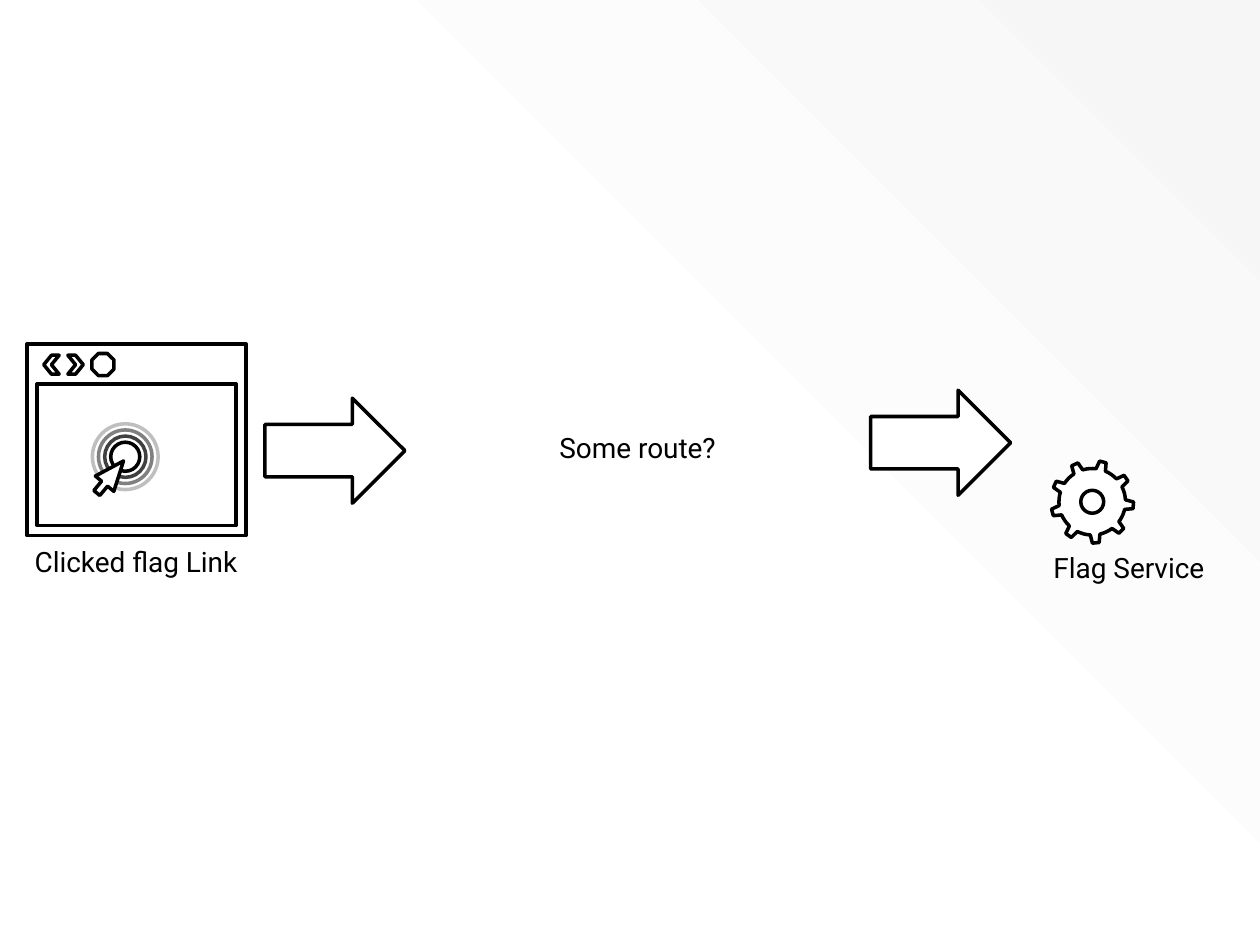
"""Build a slide showing a flag link click travelling to the flag service."""
from dataclasses import dataclass

from lxml.etree import SubElement
from pptx import Presentation
from pptx.dml.color import RGBColor
from pptx.enum.shapes import MSO_SHAPE
from pptx.enum.text import MSO_AUTO_SIZE, PP_ALIGN
from pptx.oxml.ns import qn
from pptx.util import Pt

WIDTH, HEIGHT = 720, 540
BLACK, WHITE = "000000", "FFFFFF"


@dataclass
class Part:
    """An outlined preset shape, measured in points."""
    kind: MSO_SHAPE
    left: float
    top: float
    width: float
    height: float
    line: str = BLACK
    fill: str | None = WHITE
    rotation: float = 0
    adjustments: tuple[float, ...] = ()


@dataclass
class Label:
    """A centred caption, measured in points."""
    text: str
    left: float
    top: float
    width: float
    height: float = 26.6


def paint(color_format, color: str) -> None:
    """Set a colour from a hex string."""
    color_format.rgb = RGBColor.from_string(color)


def draw_part(shapes, part: Part) -> None:
    """Draw one outlined shape."""
    sp = shapes.add_shape(part.kind, Pt(part.left), Pt(part.top), Pt(part.width), Pt(part.height))
    sp.shadow.inherit = False
    sp.rotation = part.rotation
    for i, value in enumerate(part.adjustments):
        sp.adjustments[i] = value
    if part.fill:
        sp.fill.solid()
        paint(sp.fill.fore_color, part.fill)
    else:
        sp.fill.background()
    sp.line.width = Pt(2)
    paint(sp.line.color, part.line)


def draw_group(shapes, parts: list[Part]) -> None:
    """Draw several shapes as one group."""
    group = shapes.add_group_shape()
    for part in parts:
        draw_part(group.shapes, part)


def add_text(tf, text: str, *, size: float = 16, font: str = "Roboto",
             color: str = BLACK, align: PP_ALIGN = PP_ALIGN.CENTER) -> None:
    """Write formatted text into the first paragraph of a frame."""
    p = tf.paragraphs[0]
    p.alignment = align
    r = p.add_run()
    r.text = text
    r.font.size = Pt(size)
    r.font.name = font
    paint(r.font.color, color)


def draw_label(shapes, label: Label) -> None:
    """Draw one caption."""
    sp = shapes.add_textbox(Pt(label.left), Pt(label.top), Pt(label.width), Pt(label.height))
    tf = sp.text_frame
    tf.word_wrap = True
    tf.auto_size = MSO_AUTO_SIZE.SHAPE_TO_FIT_TEXT
    add_text(tf, label.text)


def draw_backdrop(shapes) -> None:
    """Cover the slide with a gradient spreading from the bottom left corner."""
    sp = shapes.add_shape(MSO_SHAPE.RECTANGLE, 0, 0, Pt(WIDTH), Pt(HEIGHT))
    sp.shadow.inherit = False
    sp.line.fill.background()
    sp.fill.gradient()
    for stop, position, color in zip(sp.fill.gradient_stops, (0.49, 1), (WHITE, "F6F6F6")):
        stop.position = position
        paint(stop.color, color)
    grad = sp._element.spPr.find(qn("a:gradFill"))
    grad.remove(grad.find(qn("a:lin")))
    focus = SubElement(grad, qn("a:path"), {"path": "circle"})
    SubElement(focus, qn("a:fillToRect"), {"t": "100000", "r": "100000"})


def ripple(color: str, diameter: float) -> Part:
    """Return one ring around the click point."""
    x, y = 71.6, 261
    return Part(MSO_SHAPE.OVAL, x - diameter / 2, y - diameter / 2, diameter, diameter, color, None)


def main() -> None:
    """Build and save the slide."""
    prs = Presentation()
    prs.slide_width, prs.slide_height = Pt(WIDTH), Pt(HEIGHT)
    s = prs.slides.add_slide(prs.slide_layouts[6])
    browser = [
        Part(MSO_SHAPE.RECTANGLE, 15.4, 196.5, 125.3, 109.6),
        Part(MSO_SHAPE.RECTANGLE, 21.2, 219.5, 113.8, 80.8),
        Part(MSO_SHAPE.CHEVRON, 25, 203, 8.8, 10.8, rotation=180),
        Part(MSO_SHAPE.CHEVRON, 38.8, 203, 8.8, 10.8),
        Part(MSO_SHAPE.OCTAGON, 52.5, 202, 12.6, 12.6),
        *(ripple(color, 16.6 + 7 * i)
          for i, color in enumerate((BLACK, "404040", "808080", "BFBFBF"))),
        Part(MSO_SHAPE.RIGHT_ARROW, 51.1, 265.7, 23.8, 13.7, rotation=309.8,
             adjustments=(0.323, 1.233)),
    ]
    gear = [
        Part(MSO_SHAPE.GEAR_9, 600.4, 263, 47.5, 47.5, rotation=15),
        Part(MSO_SHAPE.OVAL, 617.6, 280.2, 13.1, 13.1, rotation=15),
    ]
    arrows = [Part(MSO_SHAPE.RIGHT_ARROW, left, top, 80, 60)
              for left, top in ((497.5, 223), (151.4, 227.5))]
    labels = [
        Label("Clicked flag Link", 3.6, 307.4, 148.3),
        Label("Some route?", 272.2, 242.6, 184.3),
        Label("Flag Service", 570.2, 311, 149.8),
    ]
    draw_backdrop(s.shapes)
    draw_group(s.shapes, browser)
    for arrow in arrows:
        draw_part(s.shapes, arrow)
    for label in labels:
        draw_label(s.shapes, label)
    draw_group(s.shapes, gear)
    prs.save("out.pptx")


if __name__ == "__main__":
    main()
